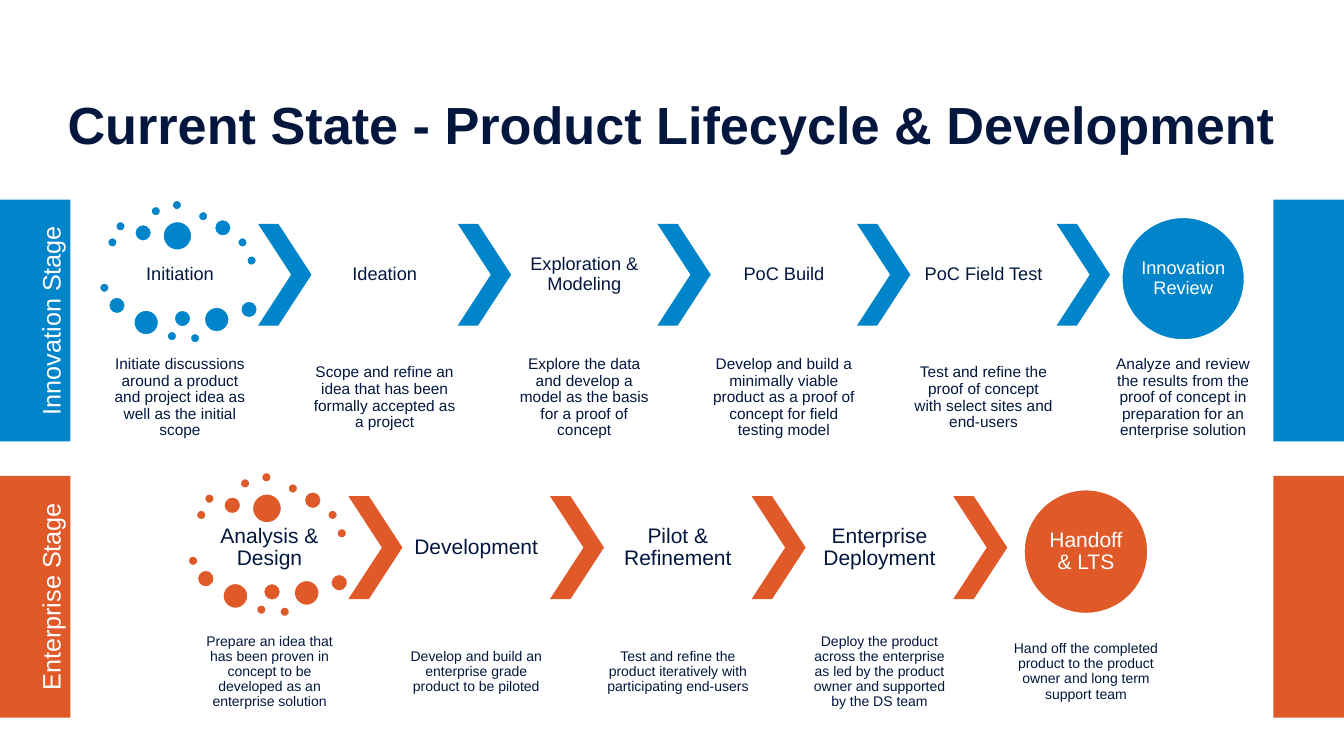
from pptx import Presentation
from pptx.dml.color import RGBColor
from pptx.enum.shapes import MSO_SHAPE
from pptx.enum.text import MSO_ANCHOR, PP_ALIGN
from pptx.util import Inches, Pt

COLORS = {"navy": "03173E", "blue": "0085CA", "orange": "E05929", "white": "FFFFFF"}
FONT = "Arial"
STEP = 1.98
DOTS = [
    (0.08, 0.37, 0.11), (0.16, 0.21, 0.11), (0.35, 0.24, 0.18),
    (0.51, 0.06, 0.11), (0.72, 0, 0.11), (0.98, 0.11, 0.11),
    (1.14, 0.19, 0.18), (1.37, 0.37, 0.11), (1.46, 0.55, 0.11),
    (0.63, 0.21, 0.3), (0, 0.82, 0.11), (0.09, 0.96, 0.18),
    (0.34, 1.09, 0.26), (0.67, 1.3, 0.11), (0.74, 1.09, 0.18),
    (0.9, 1.32, 0.11), (1.04, 1.06, 0.26), (1.4, 1, 0.18),
]
INNOVATION_STEPS = [
    ("Initiation", "Initiate discussions around a product and project idea as well as the initial scope"),
    ("Ideation", "Scope and refine an idea that has been formally accepted as a project"),
    ("Exploration & Modeling", "Explore the data and develop a model as the basis for a proof of concept"),
    ("PoC Build", "Develop and build a minimally viable product as a proof of concept for field testing model"),
    ("PoC Field Test", "Test and refine the proof of concept with select sites and end-users"),
    ("Innovation Review", "Analyze and review the results from the proof of concept in preparation for an enterprise solution"),
]
ENTERPRISE_STEPS = [
    ("Analysis & Design", "Prepare an idea that has been proven in concept to be developed as an enterprise solution"),
    ("Development", "Develop and build an enterprise grade product to be piloted"),
    ("Pilot & Refinement", "Test and refine the product iteratively with participating end-users"),
    ("Enterprise Deployment", "Deploy the product across the enterprise as led by the product owner and supported by the DS team"),
    ("Handoff & LTS", "Hand off the completed product to the product owner and long term support team"),
]


def write_text(shape, text, size, color="navy", bold=False, align=PP_ALIGN.CENTER,
               anchor=MSO_ANCHOR.MIDDLE, inset=0.02, spacing=0.9, wrap=True):
    frame = shape.text_frame
    frame.word_wrap = wrap
    frame.vertical_anchor = anchor
    frame.margin_left = frame.margin_right = Inches(inset)
    frame.margin_top = frame.margin_bottom = Inches(inset)
    paragraph = frame.paragraphs[0]
    paragraph.alignment = align
    paragraph.line_spacing = spacing
    run = paragraph.add_run()
    run.text = text
    run.font.name = FONT
    run.font.size = Pt(size)
    run.font.bold = bold
    run.font.color.rgb = RGBColor.from_string(COLORS[color])


def add_text(slide, box, text, size, **text_format):
    shape = slide.shapes.add_textbox(*map(Inches, box))
    write_text(shape, text, size, **text_format)


def add_filled(slide, kind, box, color, outlined=False):
    shape = slide.shapes.add_shape(kind, *map(Inches, box))
    shape.shadow.inherit = False
    shape.fill.solid()
    shape.fill.fore_color.rgb = RGBColor.from_string(COLORS[color])
    if outlined:
        shape.line.color.rgb = RGBColor.from_string(COLORS["white"])
        shape.line.width = Pt(2)
    else:
        shape.line.fill.background()
    return shape


def add_title(slide, box, text):
    add_text(slide, box, text, 37.3, bold=True, align=PP_ALIGN.LEFT,
             anchor=MSO_ANCHOR.BOTTOM, inset=0, spacing=1, wrap=False)


def add_side_bar(slide, box, color, label=None):
    left, top, width, height = box
    turned_box = (left + (width - height) / 2, top + (height - width) / 2, height, width)
    bar = add_filled(slide, MSO_SHAPE.RECTANGLE, turned_box, color)
    bar.rotation = 270
    if label:
        write_text(bar, label, 18, color="white", anchor=MSO_ANCHOR.BOTTOM,
                   inset=0.05, spacing=1)


def add_dot_ring(slide, left, top, scale, color):
    for x, y, size in DOTS:
        box = (left + x * scale, top + y * scale, size * scale, size * scale)
        add_filled(slide, MSO_SHAPE.OVAL, box, color, outlined=True)


def add_final_circle(slide, box, color, label, size):
    left, top, diameter, _ = box
    add_filled(slide, MSO_SHAPE.OVAL, box, color, outlined=True)
    margin = 0.18
    inner = diameter - 2 * margin
    add_text(slide, (left + margin, top + margin, inner, inner), label, size,
             color="white", inset=0)


def add_process(slide, left, top, scale, color, steps, label_size, detail_size,
                detail_inset, last_width):
    step_width, chevron_width, row_height = 1.45 * scale, 0.53 * scale, 1.01 * scale
    row_top = top + 0.24 * scale
    first_chevron = left + 1.58 * scale
    last = len(steps) - 1
    add_dot_ring(slide, left, top, scale, color)
    for index, (label, detail) in enumerate(steps):
        chevron_left = first_chevron + index * STEP * scale
        x = chevron_left - STEP * scale + chevron_width if index else left + 0.08 * scale
        width = last_width if index == last else step_width
        if index == last:
            diameter = 1.23 * scale
            circle_box = (x + (width - diameter) / 2, top + 0.17 * scale, diameter, diameter)
            add_final_circle(slide, circle_box, color, label, label_size)
        else:
            label_height = row_height if index else 0.48
            label_top = row_top + (row_height - label_height) / 2
            add_text(slide, (x, label_top, width, label_height), label, label_size)
            chevron = add_filled(slide, MSO_SHAPE.CHEVRON,
                                 (chevron_left, row_top, chevron_width, row_height), color)
            chevron.adjustments[0] = 0.62
        add_text(slide, (x, top + 1.52 * scale, width, 0.89 * scale), detail,
                 detail_size, inset=detail_inset)


def main():
    presentation = Presentation()
    presentation.slide_width = Inches(13.33)
    presentation.slide_height = Inches(7.5)
    slide = presentation.slides.add_slide(presentation.slide_layouts[6])
    add_title(slide, (0.67, 0.36, 12, 1.18), "Current State - Product Lifecycle & Development")
    add_process(slide, 0.98, 1.98, 1, "blue", INNOVATION_STEPS, 13, 11, 0.02, 1.45)
    add_process(slide, 1.86, 4.68, 1.01, "orange", ENTERPRISE_STEPS, 15, 10, 0.01, 1.56)
    for top, color, label in ((1.98, "blue", "Innovation Stage"),
                              (4.72, "orange", "Enterprise Stage")):
        add_side_bar(slide, (0, top, 0.7, 2.4), color, label)
        add_side_bar(slide, (12.63, top, 0.7, 2.4), color)
    presentation.save("out.pptx")


if __name__ == "__main__":
    main()
